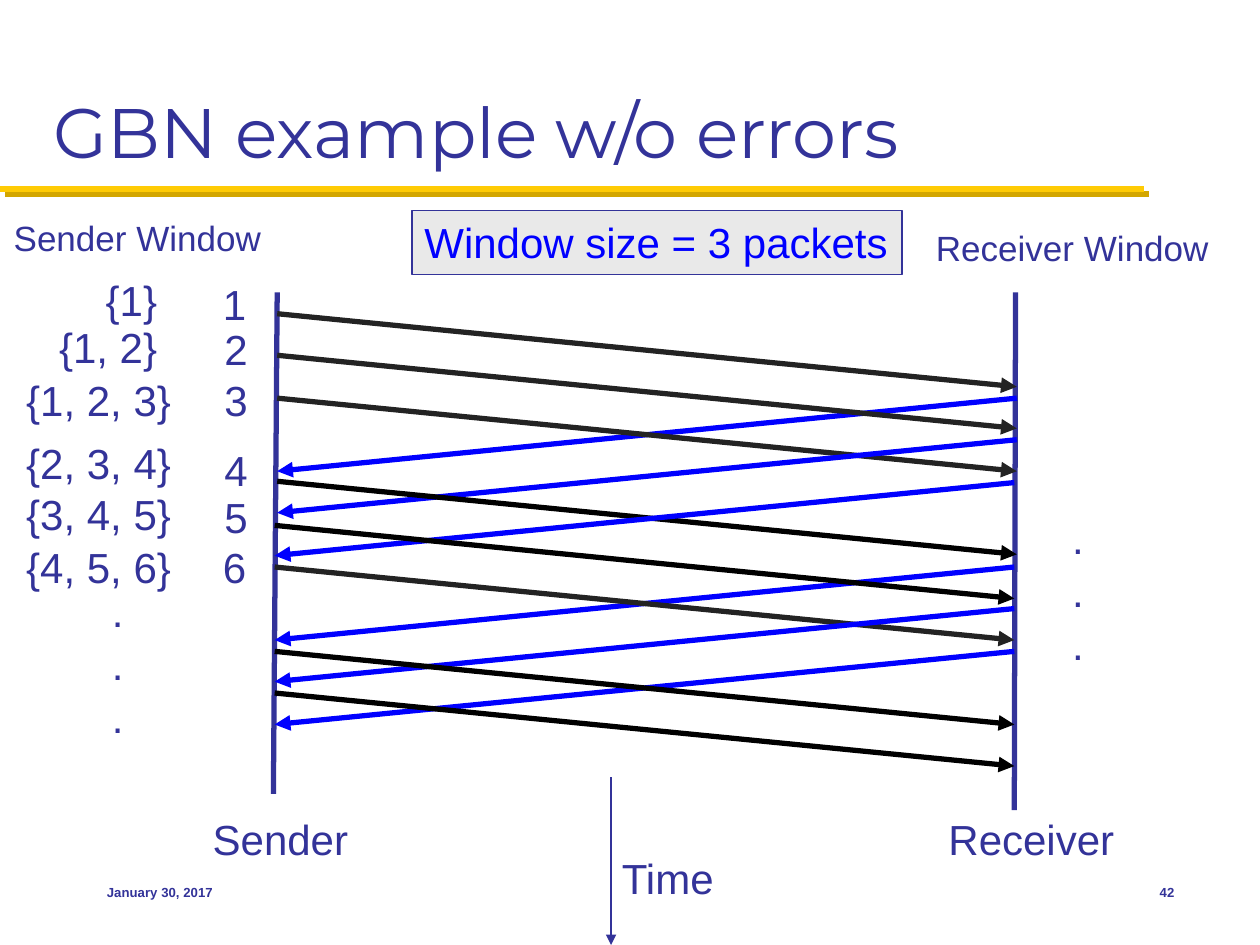
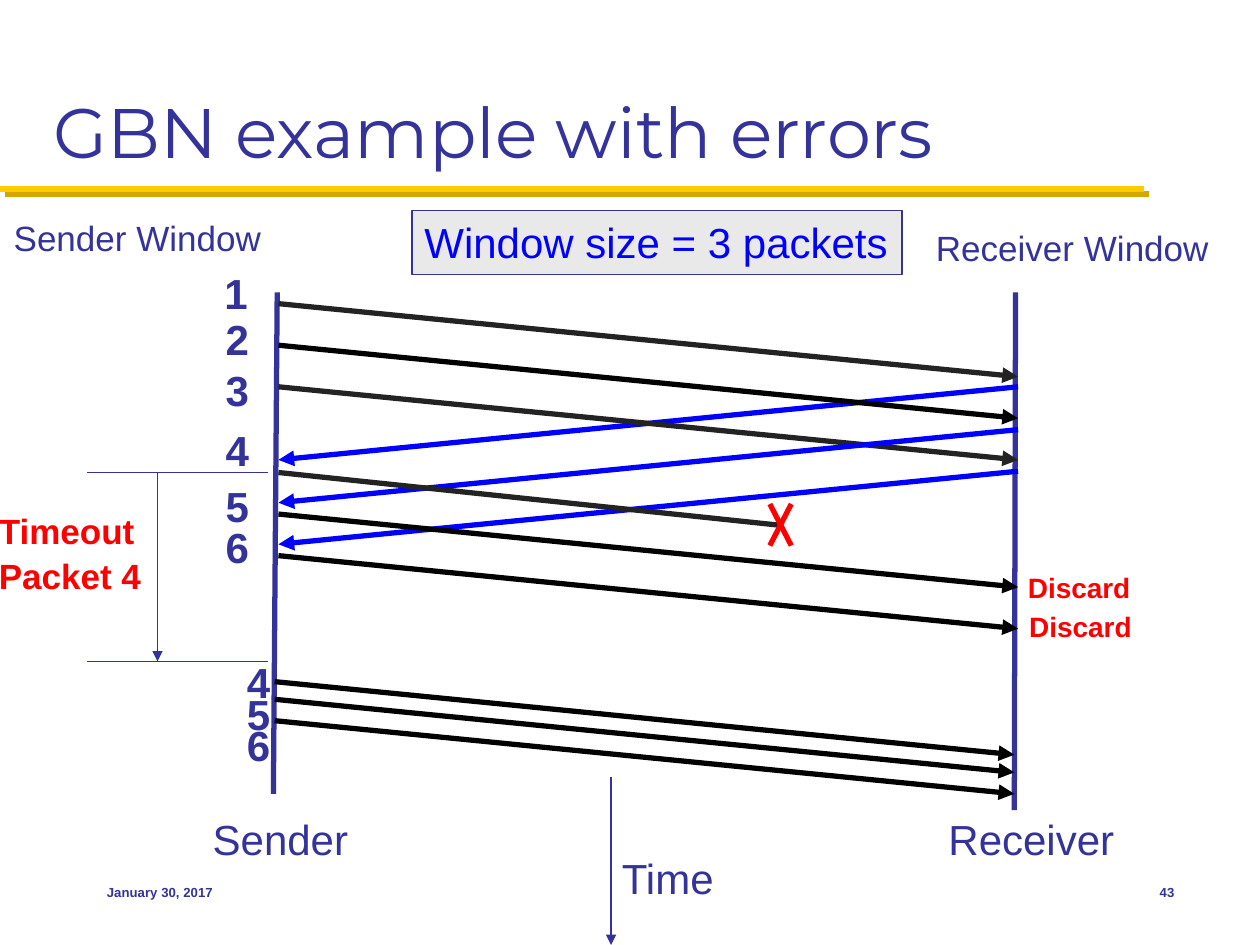
"""Two slides that show Go-Back-N packet timing, without and with errors."""
from lxml import etree
from pptx import Presentation
from pptx import util as u
from pptx.dml.color import RGBColor
from pptx.enum import shapes, text
from pptx.oxml.ns import qn

NAVY = RGBColor(0x33, 0x33, 0x99)
BLUE = RGBColor(0x00, 0x00, 0xFF)
RED = RGBColor(0xFF, 0x00, 0x00)
BLACK = RGBColor(0x00, 0x00, 0x00)
DARK = RGBColor(0x23, 0x23, 0x23)
GOLD = RGBColor(0xFF, 0xCB, 0x05)
SHADE = RGBColor(0xD3, 0xA6, 0x00)
GREY = RGBColor(0xE9, 0xE9, 0xE9)
LEFT, MID, RIGHT = text.PP_ALIGN.LEFT, text.PP_ALIGN.CENTER, text.PP_ALIGN.RIGHT

SPAN, DROP, STEP = 5.87, 0.58, 0.33
DATE = "January 30, 2017"
ENDS = [("Time", 4.83, 6.72, 0.94), ("Sender", 1.58, 6.41, 1.29),
        ("Receiver", 7.42, 6.41, 1.53)]
HEADS = [("Sender Window", 0.01, 1.67, 2.28), ("Receiver Window", 7.33, 1.75, 2.5)]
POLES = [((2.2, 2.32), (2.17, 6.3)), ((8.06, 2.32), (8.05, 6.43))]

CLEAN = {
    "title": "GBN example w/o errors", "page": "42", "bold": False,
    "hops": [(2.2, 2.49, DARK), (2.2, 3.16, BLUE), (2.2, 2.82, DARK),
             (2.2, 3.16, DARK), (2.2, 3.49, BLUE), (2.2, 3.82, BLACK),
             (2.18, 3.83, BLUE), (2.18, 4.5, BLUE), (2.18, 4.17, BLACK),
             (2.18, 4.5, DARK), (2.18, 4.83, BLUE), (2.18, 5.17, BLUE),
             (2.18, 5.17, BLACK), (2.18, 5.5, BLACK)],
    "nums": [("1", 1.68, 2.17), ("2", 1.69, 2.53), ("3", 1.69, 2.93),
             ("4", 1.69, 3.49), ("5", 1.69, 3.86), ("6", 1.68, 4.26)],
}
FAULTY = {
    "title": "GBN example with errors", "page": "43", "bold": True,
    "hops": [(2.21, 2.41, DARK), (2.21, 3.07, BLUE), (2.21, 2.74, BLACK),
             (2.21, 3.07, DARK), (2.21, 3.41, BLUE), (2.21, 3.74, BLUE),
             (2.21, 4.08, BLACK), (2.21, 4.41, BLACK), (2.18, 5.41, BLACK),
             (2.18, 5.55, BLACK), (2.18, 5.72, BLACK)],
    "nums": [("1", 1.69, 2.08), ("2", 1.7, 2.45), ("3", 1.7, 2.85),
             ("4", 1.7, 3.33), ("5", 1.7, 3.77), ("6", 1.7, 4.1),
             ("4", 1.87, 5.17), ("5", 1.87, 5.42), ("6", 1.87, 5.67)],
}
SETS = [("{1}", 0.74, 2.13, 0.61), ("{1, 2}", 0.37, 2.5, 1.02),
        ("{1, 2, 3}", 0.11, 2.92, 1.4), ("{2, 3, 4}", 0.11, 3.42, 1.4),
        ("{3, 4, 5}", 0.11, 3.83, 1.4), ("{4, 5, 6}", 0.11, 4.25, 1.4)]
DOTS = [(0.79, 4.58), (8.41, 4)]
DROPS = [(8.06, 4.48), (8.07, 4.79)]


def line(slide, start, end, color=NAVY, width=3, tip=False):
    """Draw a straight line, with an arrowhead if tip is set."""
    wire = slide.shapes.add_connector(shapes.MSO_CONNECTOR.STRAIGHT,
                                      *map(u.Inches, start + end))
    wire.line.color.rgb = color
    wire.line.width = u.Pt(width)
    if tip:
        etree.SubElement(wire.line._get_or_add_ln(), qn("a:tailEnd"), type="triangle")
    etree.SubElement(wire._element.spPr, qn("a:effectLst"))


def fill(shape, rows, size, color=NAVY, bold=False, align=LEFT, anchor="TOP",
         font="Arial", pad=(0.1, 0.05), wrap=False):
    """Write rows of text in a shape."""
    frame = shape.text_frame
    frame.word_wrap = wrap
    frame.auto_size = (text.MSO_AUTO_SIZE.NONE if wrap
                       else text.MSO_AUTO_SIZE.SHAPE_TO_FIT_TEXT)
    frame.vertical_anchor = getattr(text.MSO_ANCHOR, anchor)
    frame.margin_left = frame.margin_right = u.Inches(pad[0])
    frame.margin_top = frame.margin_bottom = u.Inches(pad[1])
    for i, row in enumerate(rows):
        para = frame.add_paragraph() if i else frame.paragraphs[0]
        para.alignment = align
        if len(rows) > 1:
            para.line_spacing = 1.05
        run = para.add_run()
        run.text = row
        run.font.name, run.font.size = font, u.Pt(size)
        run.font.bold, run.font.color.rgb = bold, color


def note(slide, box, rows, size, **look):
    """Add a text box."""
    fill(slide.shapes.add_textbox(*map(u.Inches, box)), rows, size, **look)


def base(deck, data):
    """Add a slide with the parts that both share, then its packets."""
    slide = deck.slides.add_slide(deck.slide_layouts[6])
    for gap, color in ((0.04, SHADE), (0, GOLD)):
        line(slide, (gap, 1.5 + gap), (9.08 + gap, 1.5 + gap), color, 3.5)
    note(slide, (0.33, 0.17, 9.33, 1.25), [data["title"]], 40,
         font="Montserrat", anchor="BOTTOM", wrap=True)
    line(slide, (4.85, 6.17), (4.85, 7.5), width=1, tip=True)
    for word, x, y, w in ENDS:
        note(slide, (x, y, w, 0.5), [word], 24, align=MID, anchor="MIDDLE")
    for word, x, y, w in HEADS:
        note(slide, (x, y, w, 0.43), [word], 20)
    sign = slide.shapes.add_shape(shapes.MSO_SHAPE.RECTANGLE,
                                  *map(u.Inches, (3.27, 1.67, 3.89, 0.51)))
    sign.shadow.inherit = False
    sign.fill.solid()
    sign.fill.fore_color.rgb = GREY
    sign.line.color.rgb = NAVY
    sign.line.width = u.Pt(0.75)
    fill(sign, ["Window size = 3 packets"], 24, color=BLUE)
    for start, end in POLES:
        line(slide, start, end)
    for x, y, color in data["hops"]:
        near, far = (x, x + SPAN) if color != BLUE else (x + SPAN, x)
        line(slide, (near, y), (far, y + DROP), color, tip=True)
    for num, x, y in data["nums"]:
        note(slide, (x, y, 0.37, 0.49), [num], 24, bold=data["bold"], pad=(0.09, 0.04))
    for word, x, w, side in ((DATE, 0.75, 2.08, LEFT), (data["page"], 8.75, 0.67, RIGHT)):
        note(slide, (x, 6.83, w, 0.5), [word], 7.5, bold=True, align=side,
             anchor="MIDDLE", wrap=True)
    return slide


def main():
    """Build and save the deck."""
    deck = Presentation()
    deck.slide_width, deck.slide_height = u.Inches(10), u.Inches(7.5)

    clean = base(deck, CLEAN)
    for word, x, y, w in SETS:
        note(clean, (x, y, w, 0.5), [word], 24)
    for x, y in DOTS:
        note(clean, (x, y, 0.29, 1.31), ["."] * 3, 24)

    faulty = base(deck, FAULTY)
    line(faulty, (2.21, 3.75), (6.2, 4.17), DARK)
    for a, b in ((6.11, 6.28), (6.28, 6.11)):
        line(faulty, (a, 4), (b, 4 + STEP), RED)
    for y in (3.75, 5.25):
        line(faulty, (2.13, y), (0.69, y), width=0.75)
    line(faulty, (1.25, 3.75), (1.25, 5.25), width=0.75, tip=True)
    note(faulty, (-0.1, 3.99, 1.32, 0.75), ["Timeout", "Packet 4"], 20,
         color=RED, bold=True, pad=(0.09, 0.04))
    for x, y in DROPS:
        note(faulty, (x, y, 1.02, 0.37), ["Discard"], 16, color=RED, bold=True)

    deck.save("out.pptx")


if __name__ == "__main__":
    main()
